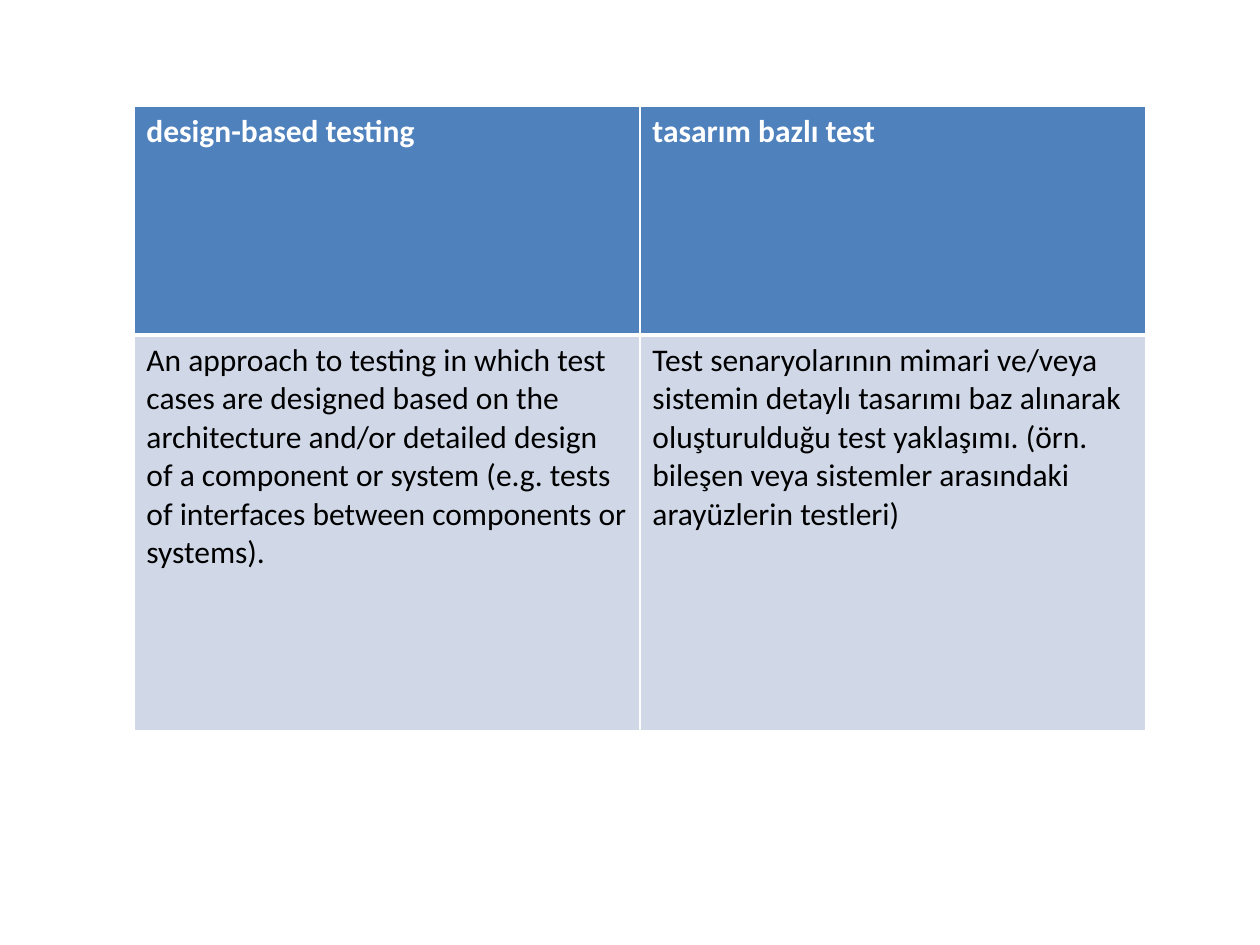
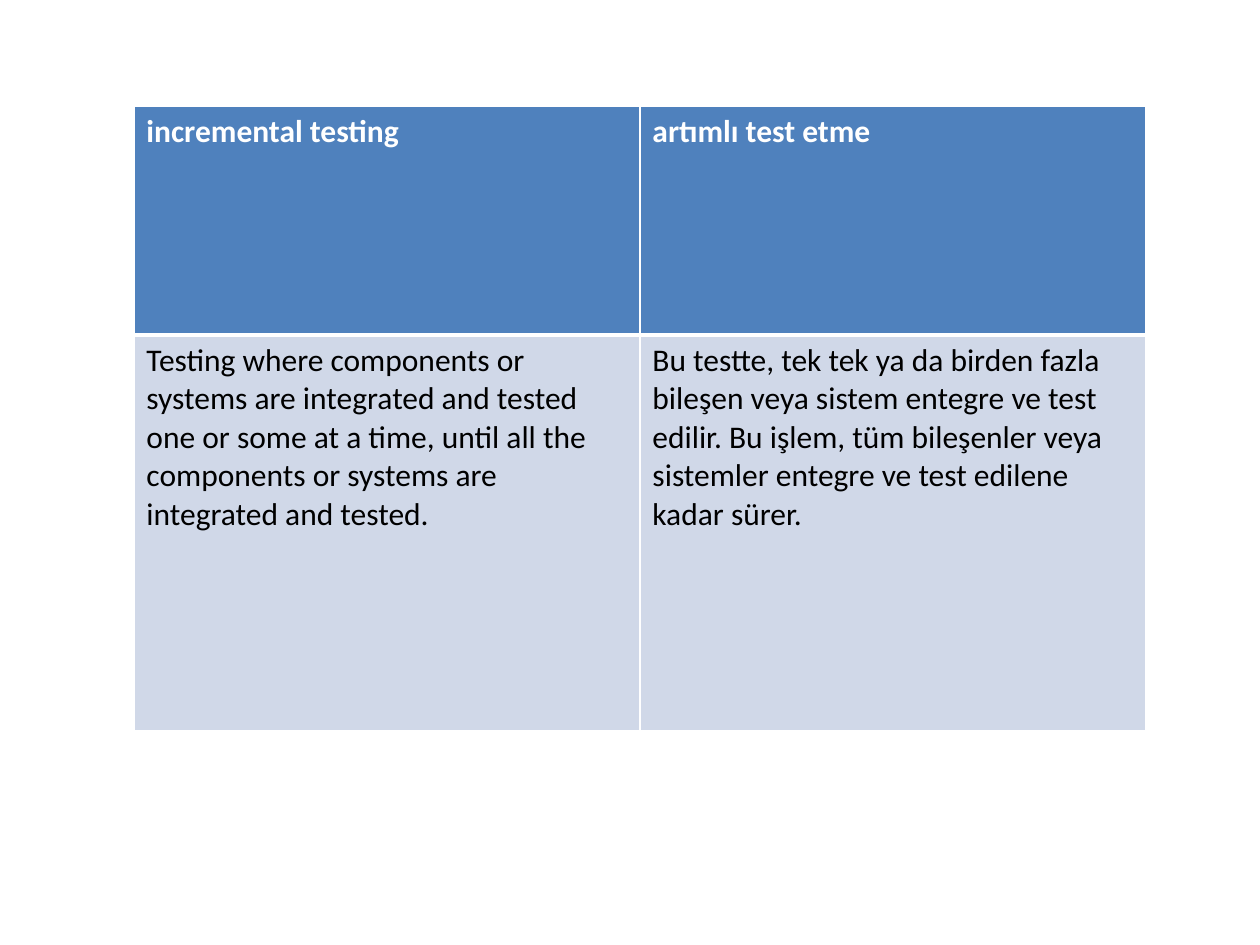
from lxml import etree
from pptx import Presentation
from pptx.dml.color import RGBColor
from pptx.oxml.ns import qn
from pptx.util import Pt

COLORS = {
    "header": "4F81BD",
    "body": "D0D8E8",
    "header_text": "FFFFFF",
    "body_text": "000000",
    "rule": "FFFFFF",
}
FONT = "Calibri"
TEXT_SIZE = Pt(18)
THIN, THICK = Pt(1), Pt(3)
LEFT, TOP = Pt(76.5), Pt(60.5)
COLUMN_WIDTH = Pt(289.15)
ROW_HEIGHTS = [Pt(131), Pt(226)]

GLOSSARY = [
    [
        ["design-based testing", "tasarım bazlı test"],
        [
            "An approach to testing in which test cases are designed based on the "
            "architecture and/or detailed design of a component or system (e.g. tests "
            "of interfaces between components or systems).",
            "Test senaryolarının mimari ve/veya sistemin detaylı tasarımı baz alınarak "
            "oluşturulduğu test yaklaşımı. (örn. bileşen veya sistemler arasındaki "
            "arayüzlerin testleri)",
        ],
    ],
    [
        ["incremental testing", "artımlı test etme"],
        [
            "Testing where components or systems are integrated and tested one or some "
            "at a time, until all the components or systems are integrated and tested.",
            "Bu testte, tek tek ya da birden fazla bileşen veya sistem entegre ve test "
            "edilir. Bu işlem, tüm bileşenler veya sistemler entegre ve test edilene "
            "kadar sürer.",
        ],
    ],
]


class GlossaryDeck:
    def __init__(self):
        self.deck = Presentation()
        self.deck.slide_width, self.deck.slide_height = Pt(720), Pt(540)
        self.slide = None

    def add_slide(self):
        self.slide = self.deck.slides.add_slide(self.deck.slide_layouts[6])

    def add_border(self, cell, side, width):
        properties = cell._tc.get_or_add_tcPr()
        line = etree.SubElement(properties, qn(f"a:ln{side}"), w=str(int(width)))
        fill = etree.SubElement(line, qn("a:solidFill"))
        etree.SubElement(fill, qn("a:srgbClr"), val=COLORS["rule"])

    def fill_cell(self, cell, text, role):
        is_header = role == "header"
        widths = {
            "L": THIN,
            "R": THIN,
            "T": THIN if is_header else THICK,
            "B": THICK if is_header else THIN,
        }
        for side, width in widths.items():
            self.add_border(cell, side, width)
        cell.fill.solid()
        cell.fill.fore_color.rgb = RGBColor.from_string(COLORS[role])
        cell.text_frame.text = text
        font = cell.text_frame.paragraphs[0].runs[0].font
        font.name, font.size, font.bold = FONT, TEXT_SIZE, is_header
        font.color.rgb = RGBColor.from_string(COLORS[f"{role}_text"])

    def add_entry(self, entry):
        columns = len(entry[0])
        table = self.slide.shapes.add_table(
            len(entry), columns, LEFT, TOP, COLUMN_WIDTH * columns, sum(ROW_HEIGHTS)
        ).table
        for column in table.columns:
            column.width = COLUMN_WIDTH
        for row, height, texts, role in zip(
            table.rows, ROW_HEIGHTS, entry, ("header", "body")
        ):
            row.height = height
            for cell, text in zip(row.cells, texts):
                self.fill_cell(cell, text, role)


def main():
    glossary = GlossaryDeck()
    for entry in GLOSSARY:
        glossary.add_slide()
        glossary.add_entry(entry)
    glossary.deck.save("out.pptx")


if __name__ == "__main__":
    main()
